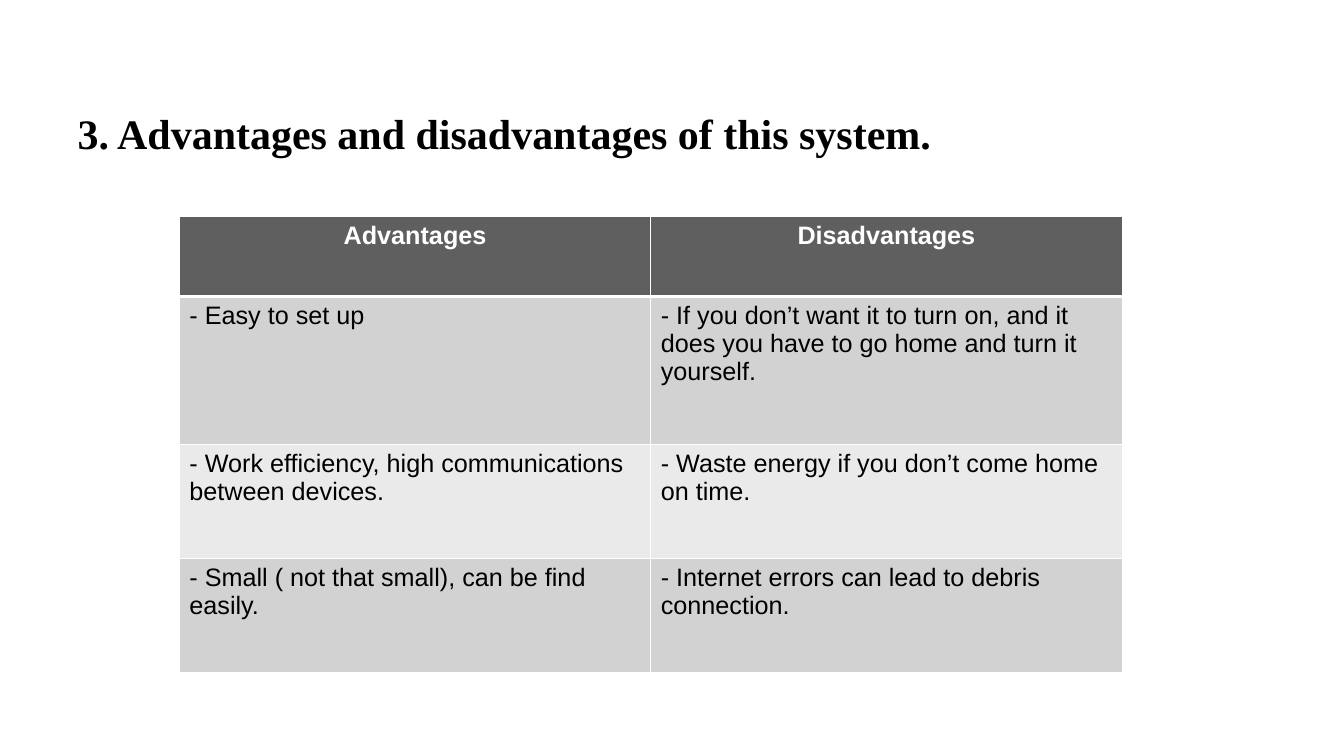
from dataclasses import dataclass

from lxml.etree import SubElement
from pptx import Presentation
from pptx.dml.color import RGBColor
from pptx.enum.text import MSO_ANCHOR as Anchor, MSO_AUTO_SIZE as AutoSize, PP_ALIGN as Align
from pptx.oxml.ns import qn
from pptx.util import Cm, Pt


@dataclass(frozen=True)
class Theme:
    title_font: str = "Times New Roman"
    body_font: str = "Arial"
    title_size: float = 30
    body_size: float = 18
    ink: str = "000000"
    paper: str = "FFFFFF"
    header_fill: str = "5F5F5F"
    band_fills: tuple = ("D2D2D2", "EAEAEA")
    grid_width: float = 1
    header_rule: float = 3


HEADING = "3. Advantages and disadvantages of this system."
COMPARISON = [
    ("Advantages", "Disadvantages"),
    ("- Easy to set up",
     "- If you don’t want it to turn on, and it does you have to go home and turn it yourself."),
    ("- Work efficiency, high communications between devices.",
     "- Waste energy if you don’t come home on time."),
    ("- Small ( not that small), can be find easily.",
     "- Internet errors can lead to debris connection."),
]
ROW_HEIGHTS = (2.01, 3.73, 2.87, 2.87)
COLUMN_WIDTH = 11.88


def write_text(frame, text, *, font, size, color, bold=False, align=Align.LEFT):
    paragraph = frame.paragraphs[0]
    paragraph.alignment = align
    run = paragraph.add_run()
    run.text = text
    run.font.name = font
    run.font.size = Pt(size)
    run.font.bold = bold
    run.font.color.rgb = RGBColor.from_string(color)


def set_borders(cell, color, **widths):
    """Draw cell borders; widths in points, given in the order L, R, T, B."""
    properties = cell._tc.get_or_add_tcPr()
    for side, width in widths.items():
        line = SubElement(properties, qn(f"a:ln{side}"), w=str(Pt(width)))
        fill = SubElement(line, qn("a:solidFill"))
        SubElement(fill, qn("a:srgbClr"), val=color)


class SlideBuilder:
    def __init__(self, deck, theme):
        self.theme = theme
        self.slide = deck.slides.add_slide(deck.slide_layouts[5])

    def title(self, text, left, top, width, height):
        heading = self.slide.shapes.title
        heading.left, heading.top = Cm(left), Cm(top)
        heading.width, heading.height = Cm(width), Cm(height)
        frame = heading.text_frame
        frame.auto_size = AutoSize.NONE
        frame.word_wrap = True
        frame.vertical_anchor = Anchor.MIDDLE
        write_text(frame, text, font=self.theme.title_font, size=self.theme.title_size,
                   color=self.theme.ink, bold=True)

    def table(self, rows, left, top, column_width, row_heights):
        columns = len(rows[0])
        grid = self.slide.shapes.add_table(
            len(rows), columns, Cm(left), Cm(top),
            Cm(column_width * columns), Cm(sum(row_heights))).table
        for column in grid.columns:
            column.width = Cm(column_width)
        for r, (entries, height) in enumerate(zip(rows, row_heights)):
            grid.rows[r].height = Cm(height)
            for c, entry in enumerate(entries):
                self.table_cell(grid.cell(r, c), entry, r)

    def table_cell(self, cell, text, row):
        theme = self.theme
        is_header = row == 0
        thin, thick = theme.grid_width, theme.header_rule
        set_borders(cell, theme.paper, L=thin, R=thin,
                    T=thick if row == 1 else thin, B=thick if is_header else thin)
        band = theme.band_fills[(row - 1) % len(theme.band_fills)]
        cell.fill.solid()
        cell.fill.fore_color.rgb = RGBColor.from_string(theme.header_fill if is_header else band)
        write_text(cell.text_frame, text, font=theme.body_font, size=theme.body_size,
                   color=theme.paper if is_header else theme.ink, bold=is_header,
                   align=Align.CENTER if is_header else Align.LEFT)


def main():
    deck = Presentation()
    deck.slide_width, deck.slide_height = Cm(33.87), Cm(19.05)
    builder = SlideBuilder(deck, Theme())
    builder.title(HEADING, 1.7, 2.54, 30.48, 1.63)
    builder.table(COMPARISON, 4.52, 5.46, COLUMN_WIDTH, ROW_HEIGHTS)
    deck.save("out.pptx")


if __name__ == "__main__":
    main()
